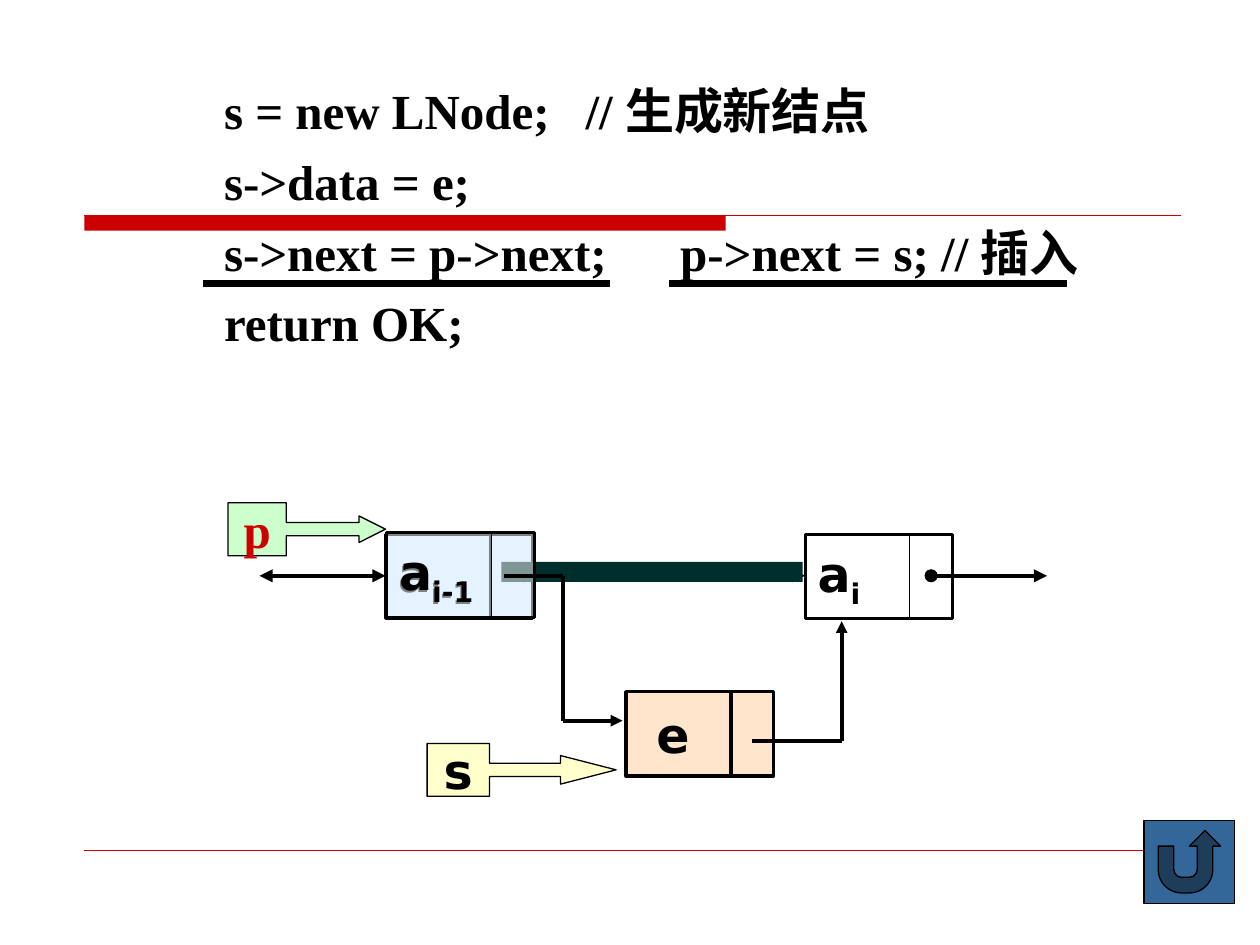
from lxml import etree
from pptx import Presentation
from pptx.dml.color import RGBColor
from pptx.enum import shapes, text
from pptx.oxml import ns
from pptx.util import Inches, Pt

BLACK = RGBColor(0x00, 0x00, 0x00)
WHITE = RGBColor(0xFF, 0xFF, 0xFF)
RED = RGBColor(0xCC, 0x00, 0x00)
BLUE = RGBColor(0x99, 0xCC, 0xFF)
ORANGE = RGBColor(0xFF, 0xCC, 0x99)
YELLOW = RGBColor(0xFF, 0xFF, 0x99)
GREEN = RGBColor(0xCC, 0xFF, 0xCC)
DARK_GREEN = RGBColor(0x00, 0x2E, 0x2C)
BUTTON_BLUE = RGBColor(0x33, 0x66, 0x99)
SERIF, SANS = "Times New Roman", "DejaVu Sans"
SHAPE = shapes.MSO_SHAPE

CODE = [
    "s = new LNode;\t// 生成新结点",
    "s->data = e;",
    "s->next = p->next;\tp->next = s; // 插入",
    "return OK;",
]
CODE_TABS = (2.87, 3.62)

NODE_W, NODE_H, FIELD_X = 1.17, 0.67, 0.83
# left, top, name, subscript, fill, outline, divider, text inset
NEW_NODE = (4.97, 5.49, "e", "", ORANGE, 2, 2, 0.24)
PREVIOUS_NODE = (3.06, 4.24, "a", "i-1", BLUE, 1.75, 0.75, 0.1)
NEXT_NODE = (6.39, 4.24, "a", "i", WHITE, 1.75, 0.75, 0.1)
PREVIOUS_VEIL = (3.07, 4.23, "a", "i-1", WHITE, 1.75, 0.75, 0.1)

# start, end, arrowhead at start, arrowhead at end
LIST_LINKS = [
    ((2.06, 4.57), (3.06, 4.57), "triangle", "triangle"),
    ((4.06, 4.57), (6.39, 4.57), "triangle", "triangle"),
    ((7.39, 4.57), (8.31, 4.57), "oval", "triangle"),
]
# corner points of the links made by the insertion
NEW_LINKS = [
    [(5.97, 5.88), (6.68, 5.88), (6.68, 4.93)],
    [(4, 4.57), (4.47, 4.57), (4.47, 5.72), (4.94, 5.72)],
]
# box, name, font, text colour, fill, opacity, adjustments
POINTERS = [
    ((3.39, 5.9, 1.5, 0.42), "s", SANS, BLACK, YELLOW, 50, (0.25, 0.27, 1.05, 0.33)),
    ((1.81, 3.99, 1.25, 0.42), "p", SERIF, RED, GREEN, 100, (0.25, 0.25, 0.5, 0.37)),
]
UNDERLINES = [(1.61, 4.84), (5.31, 8.47)]
UNDERLINE_Y = 2.25


def add_line(slide, start, end, width, color=BLACK, head=None, tail=None):
    line = slide.shapes.add_connector(
        shapes.MSO_CONNECTOR.STRAIGHT, *(Inches(v) for v in (*start, *end)))
    line.line.color.rgb = color
    line.line.width = Pt(width)
    outline = line.line._get_or_add_ln()
    for tag, kind in (("a:headEnd", head), ("a:tailEnd", tail)):
        if kind:
            etree.SubElement(outline, ns.qn(tag), type=kind)
    etree.SubElement(line._element.spPr, ns.qn("a:effectLst"))


def add_box(slide, kind, box, fill, outline=None, opacity=100):
    """Add a preset shape; no outline width means no outline."""
    shape = slide.shapes.add_shape(kind, *(Inches(v) for v in box))
    shape.shadow.inherit = False
    shape.fill.solid()
    shape.fill.fore_color.rgb = fill
    if opacity < 100:
        color = shape._element.spPr.find(".//" + ns.qn("a:srgbClr"))
        etree.SubElement(color, ns.qn("a:alpha"), val=str(opacity * 1000))
    if outline:
        shape.line.color.rgb = BLACK
        shape.line.width = Pt(outline)
    else:
        shape.line.fill.background()
    return shape


def style(run, font, color=BLACK):
    run.font.name, run.font.size, run.font.bold = font, Pt(28), True
    run.font.color.rgb = color


def add_node(slide, left, top, name, subscript, fill, outline, divider, inset):
    node = add_box(slide, SHAPE.RECTANGLE, (left, top, NODE_W, NODE_H), fill, outline, 50)
    frame = node.text_frame
    frame.vertical_anchor = text.MSO_ANCHOR.MIDDLE
    frame.margin_left = Inches(inset)
    frame.word_wrap = False
    label = frame.paragraphs[0]
    label.alignment = text.PP_ALIGN.LEFT
    for part, baseline in ((name, 0), (subscript, -25000)):
        if part:
            run = label.add_run()
            run.text = part
            style(run, SANS)
            if baseline:
                run.font._element.set("baseline", str(baseline))
    x = left + FIELD_X
    add_line(slide, (x, top), (x, top + NODE_H), divider)


def add_pointer(slide, box, name, font, color, fill, opacity, adjustments):
    pointer = add_box(slide, SHAPE.RIGHT_ARROW_CALLOUT, box, fill, 0.75, opacity)
    for index, value in enumerate(adjustments):
        pointer.adjustments[index] = value
    frame = pointer.text_frame
    frame.word_wrap = False
    frame.margin_top = frame.margin_bottom = 0
    frame.vertical_anchor = text.MSO_ANCHOR.MIDDLE
    frame.text = name
    frame.paragraphs[0].alignment = text.PP_ALIGN.CENTER
    style(frame.paragraphs[0].runs[0], font, color)


def add_code(slide):
    box = slide.shapes.add_textbox(Inches(1.68), Inches(0.5), Inches(8.83), Inches(2.34))
    frame = box.text_frame
    frame.word_wrap = True
    frame.text = "\n".join(CODE)
    for paragraph in frame.paragraphs:
        paragraph.line_spacing = 1.2
        tabs = etree.SubElement(paragraph._p.get_or_add_pPr(), ns.qn("a:tabLst"))
        for stop in CODE_TABS:
            etree.SubElement(tabs, ns.qn("a:tab"), pos=str(Inches(stop)), algn="l")
        for run in paragraph.runs:
            style(run, SERIF)


def main():
    deck = Presentation()
    deck.slide_width, deck.slide_height = Inches(10), Inches(7.5)
    slide = deck.slides.add_slide(deck.slide_layouts[6])

    add_box(slide, SHAPE.RECTANGLE, (0.67, 1.71, 5.09, 0.12), RED)
    add_line(slide, (0.67, 1.71), (9.37, 1.71), 0.75, RED)
    add_line(slide, (0.67, 6.75), (9.33, 6.75), 0.25, RED)
    add_code(slide)

    for node in (NEW_NODE, PREVIOUS_NODE, NEXT_NODE):
        add_node(slide, *node)
    for start, end, head, tail in LIST_LINKS:
        add_line(slide, start, end, 2.5, head=head, tail=tail)
    add_box(slide, SHAPE.RECTANGLE, (3.98, 4.46, 2.39, 0.16), DARK_GREEN)
    add_node(slide, *PREVIOUS_VEIL)
    for pointer in POINTERS:
        add_pointer(slide, *pointer)
    for left, right in UNDERLINES:
        add_line(slide, (left, UNDERLINE_Y), (right, UNDERLINE_Y), 4.5)
    add_box(slide, SHAPE.ACTION_BUTTON_RETURN, (9.08, 6.51, 0.72, 0.66), BUTTON_BLUE, 0.75)
    for corners in NEW_LINKS:
        for start, end in zip(corners, corners[1:]):
            tail = "triangle" if end == corners[-1] else None
            add_line(slide, start, end, 2.25, tail=tail)

    deck.save("out.pptx")


if __name__ == "__main__":
    main()
